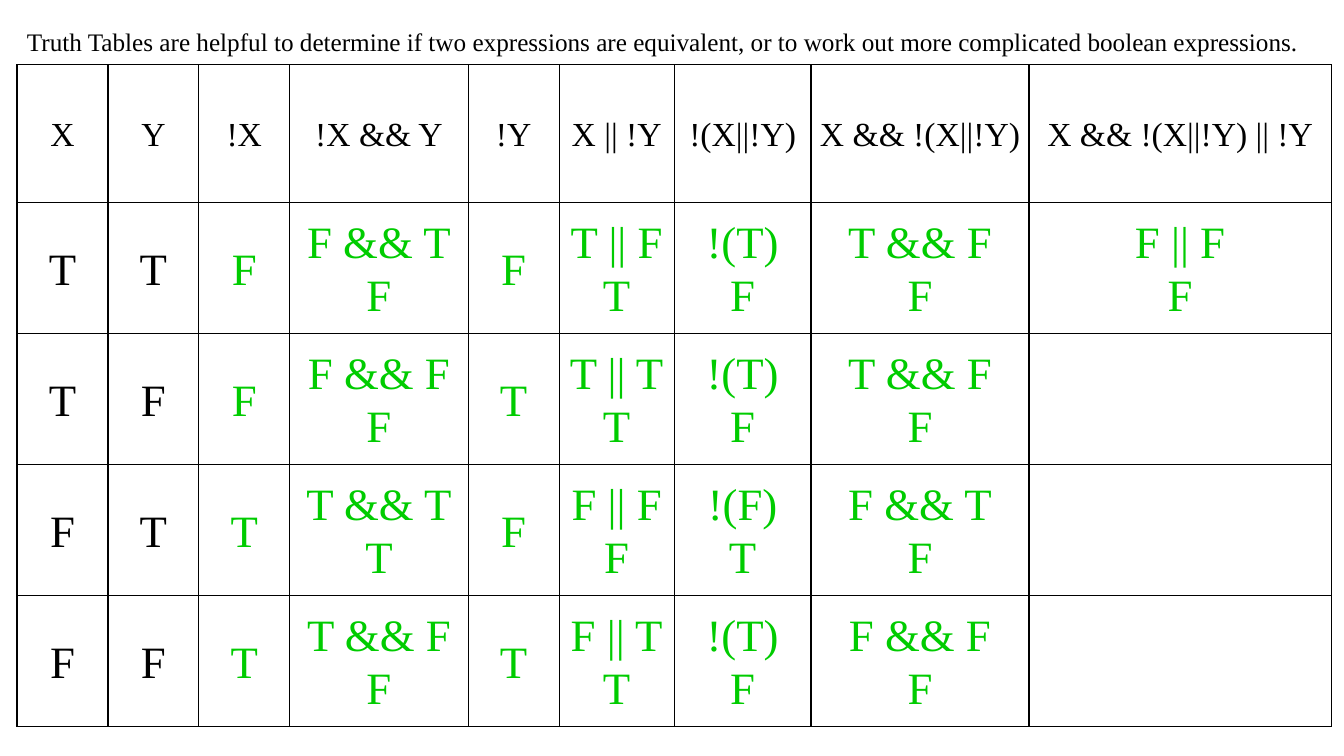
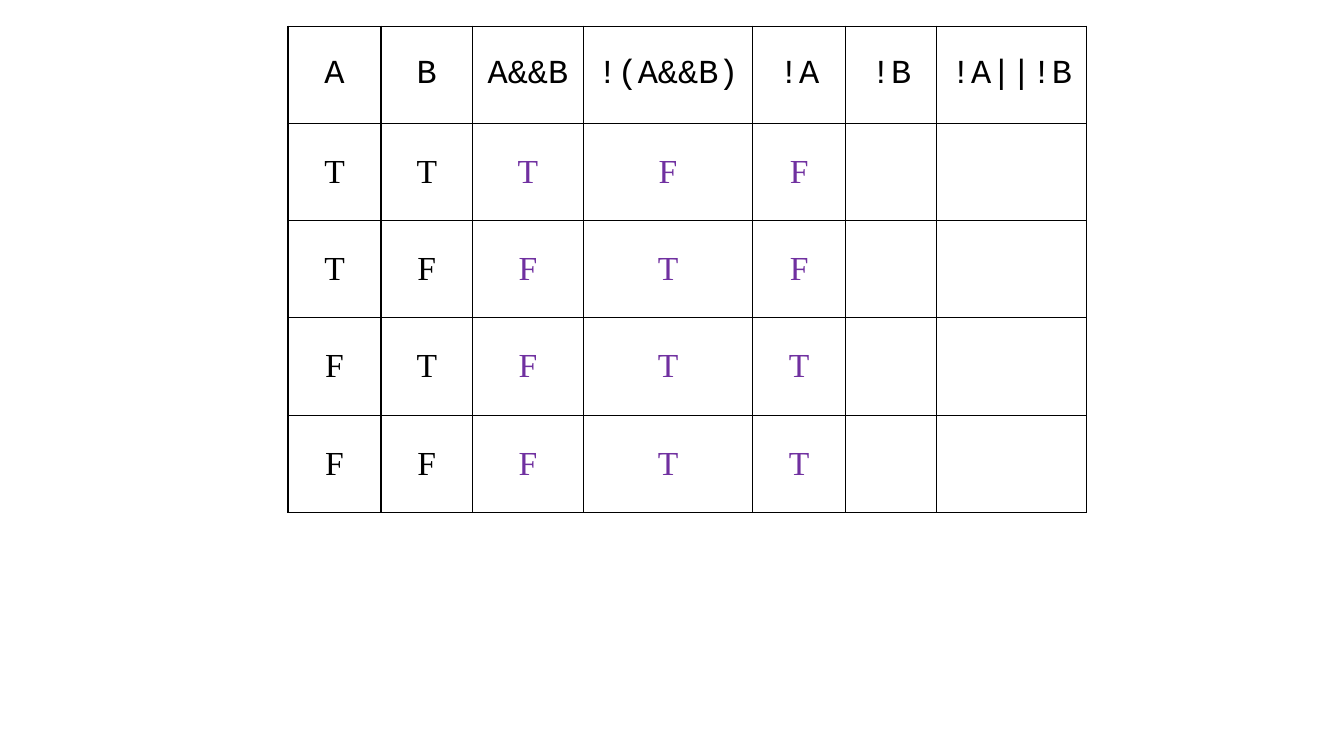
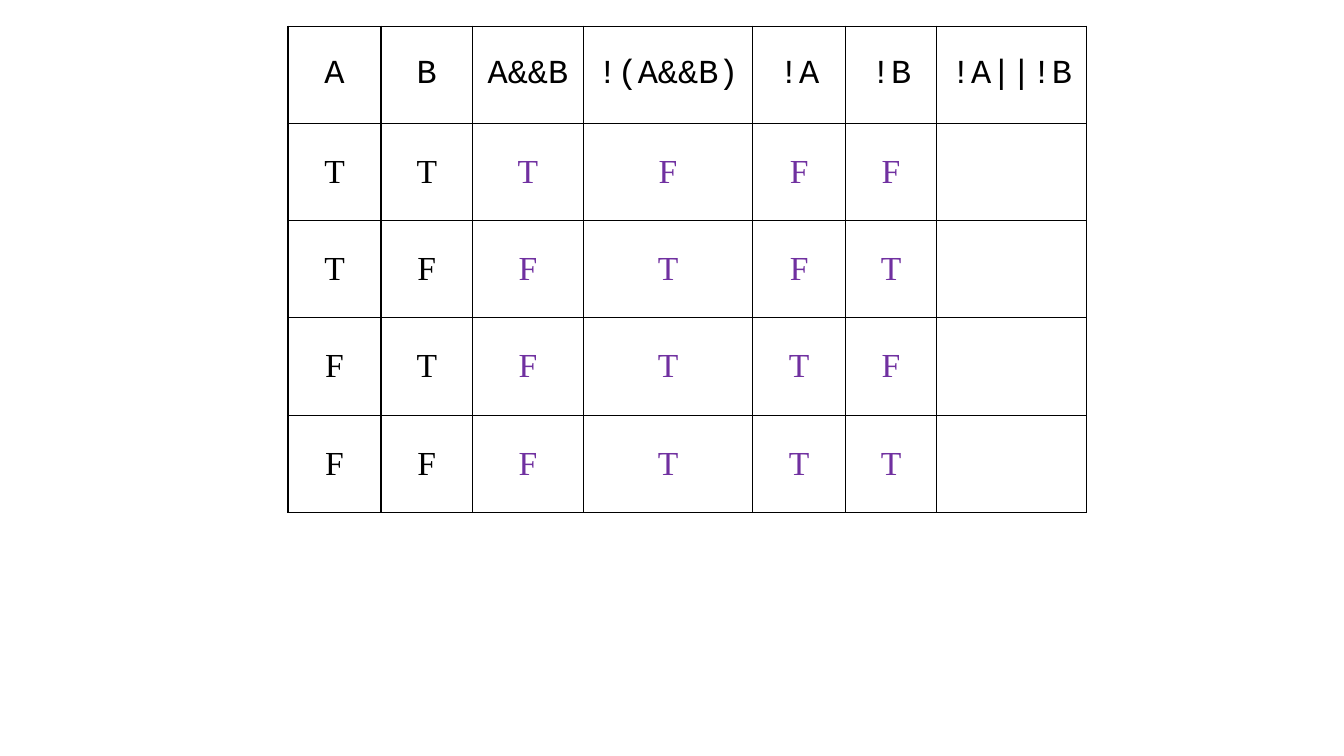
from lxml import etree
from pptx import Presentation
from pptx.dml.color import RGBColor
from pptx.enum.text import MSO_ANCHOR, PP_ALIGN
from pptx.oxml.ns import qn
from pptx.util import Cm, Pt

# Shared look
BLACK, GREEN, PURPLE = "000000", "00CC00", "7030A0"
SERIF, MONO = "Times New Roman", "Courier New"
GIVEN = 2  # leading columns that hold the input values

# Rows of the worked example; "/" starts a new line in a cell
WORKED = [
    ["X", "Y", "!X", "!X && Y", "!Y", "X || !Y", "!(X||!Y)",
     "X && !(X||!Y)", "X && !(X||!Y) || !Y"],
    ["T", "T", "F", "F && T/F", "F", "T || F/T", "!(T)/F", "T && F/F", "F || F/F"],
    ["T", "F", "F", "F && F/F", "T", "T || T/T", "!(T)/F", "T && F/F", ""],
    ["F", "T", "T", "T && T/T", "F", "F || F/F", "!(F)/T", "F && T/F", ""],
    ["F", "F", "T", "T && F/F", "T", "F || T/T", "!(T)/F", "F && F/F", ""],
]
WORKED_COLS = [2.29, 2.29, 2.29, 4.5, 2.29, 2.9, 3.45, 5.49, 7.62]

DE_MORGAN_HEAD = ["A", "B", "A&&B", "!(A&&B)", "!A", "!B", "!A||!B"]
DE_MORGAN_ROWS = ["TTTFFF", "TFFTFT", "FTFTTF", "FFFTTT"]
DE_MORGAN_COLS = [2.34, 2.31, 2.79, 4.27, 2.34, 2.29, 3.78]


def rgb(hex_color):
    return RGBColor.from_string(hex_color)


def add_run(p, text, font, size, color):
    r = p.add_run()
    r.text = text
    r.font.name, r.font.size = font, Pt(size)
    r.font.color.rgb = rgb(color)


def add_borders(cell, color=BLACK):
    tc_pr = cell._tc.get_or_add_tcPr()
    for i, side in enumerate(("lnL", "lnR", "lnT", "lnB")):
        ln = etree.Element(qn(f"a:{side}"), w=str(Pt(1)))
        fill = etree.SubElement(ln, qn("a:solidFill"))
        etree.SubElement(fill, qn("a:srgbClr"), val=color)
        tc_pr.insert(i, ln)


def fill_cell(cell, text, font, size, color, spacing):
    cell.fill.background()
    add_borders(cell)
    cell.vertical_anchor = MSO_ANCHOR.MIDDLE
    cell.margin_left = cell.margin_right = Cm(0.18)
    cell.margin_top = cell.margin_bottom = 0
    if not text:
        return
    tf = cell.text_frame
    for i, line in enumerate(text.split("/")):
        p = tf.add_paragraph() if i else tf.paragraphs[0]
        p.alignment, p.line_spacing = PP_ALIGN.CENTER, spacing
        add_run(p, line, font, size, color)


def truth_table(s, left, top, cols, heights, rows, head_font, body_size,
                answer_color, spacing=1.0):
    """Draw a header row and one row for each combination of inputs."""
    tbl = s.shapes.add_table(len(rows), len(cols), Cm(left), Cm(top),
                             Cm(sum(cols)), Cm(sum(heights))).table
    tbl.first_row = tbl.horz_banding = False
    for col, width in zip(tbl.columns, cols):
        col.width = Cm(width)
    for row, height in zip(tbl.rows, heights):
        row.height = Cm(height)
    for i, row in enumerate(rows):
        font, size = (SERIF, body_size) if i else (head_font, 24)
        for j, text in enumerate(row):
            color = answer_color if i and j >= GIVEN else BLACK
            fill_cell(tbl.cell(i, j), text, font, size, color, spacing)


def caption(s, left, top, width, height, text):
    tf = s.shapes.add_textbox(Cm(left), Cm(top), Cm(width), Cm(height)).text_frame
    tf.word_wrap = True
    p = tf.paragraphs[0]
    p.line_spacing = 1.07
    add_run(p, text, SERIF, 18, BLACK)


def worked_slide(s):
    caption(s, 0.43, 0.48, 33.02, 1.04,
            "Truth Tables are helpful to determine if two expressions are "
            "equivalent, or to work out more complicated boolean expressions.")
    truth_table(s, 0.43, 1.63, WORKED_COLS, [3.48] + [3.3] * 4, WORKED,
                SERIF, 32, GREEN, 1.07)


def de_morgan_slide(s, solved):
    """Show the table with its first `solved` columns filled in."""
    width = len(DE_MORGAN_HEAD)
    rows = [DE_MORGAN_HEAD]
    rows += [list(values[:solved].ljust(width, "/").replace("/", " ").split()[0])
             + [""] * (width - solved) for values in DE_MORGAN_ROWS]
    truth_table(s, 7.26, 0.66, DE_MORGAN_COLS, [2.45] * 5, rows,
                MONO, 24, PURPLE)


def main():
    prs = Presentation()
    prs.slide_width, prs.slide_height = Cm(33.87), Cm(19.05)

    def blank():
        return prs.slides.add_slide(prs.slide_layouts[6])

    worked_slide(blank())
    for solved in (5, 6):
        de_morgan_slide(blank(), solved)
    prs.save("out.pptx")


if __name__ == "__main__":
    main()
